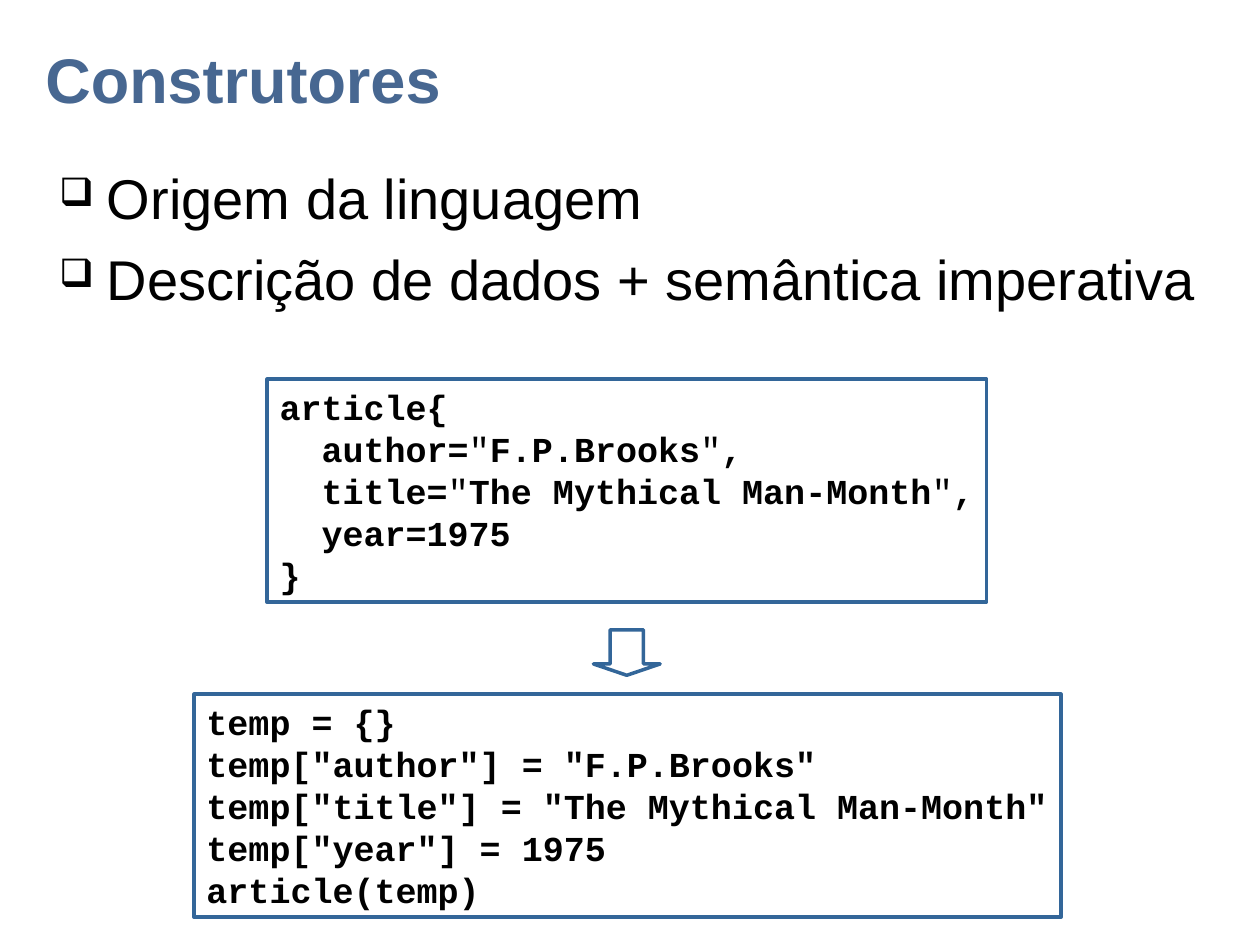
from lxml import etree
from pptx import Presentation
from pptx.dml.color import RGBColor
from pptx.enum.shapes import MSO_SHAPE
from pptx.enum.text import MSO_ANCHOR, PP_ALIGN
from pptx.oxml.ns import qn
from pptx.util import Inches, Pt

COLORS = {"title": "476791", "text": "000000", "outline": "336699"}

# Content: a code line is a list of (text, bold) pieces
TITLE = "Construtores"
TOPICS = ["Origem da linguagem", "Descrição de dados + semântica imperativa"]
QUOTE = ('"', False)
CONSTRUCTOR = [
    [("article{", True)],
    [("  author=", True), QUOTE, ("F.P.Brooks", True), QUOTE, (",", True)],
    [("  title=", True), QUOTE, ("The Mythical Man-Month", True), QUOTE, (",", True)],
    [("  year=1975", True)],
    [("}", True)],
]
EXPANSION = [[(line, True)] for line in (
    "temp = {}",
    'temp["author"] = "F.P.Brooks"',
    'temp["title"] = "The Mythical Man-Month"',
    'temp["year"] = 1975',
    "article(temp)",
)]

# Code boxes: left, top, width, lines
CODE_HEIGHT = 1.77
CODE_BOXES = [(2.12, 3.01, 5.71, CONSTRUCTOR), (1.54, 5.51, 6.88, EXPANSION)]


def add_bullet(paragraph, char="❑", indent=0.38, percent=70):
    props = paragraph._p.get_or_add_pPr()
    props.set("marL", str(Inches(indent)))
    props.set("indent", str(-Inches(indent)))
    color = etree.SubElement(props, qn("a:buClr"))
    etree.SubElement(color, qn("a:srgbClr"), val=COLORS["text"])
    etree.SubElement(props, qn("a:buSzPct"), val=str(percent * 1000))
    etree.SubElement(props, qn("a:buChar"), char=char)


def write_text(frame, lines, size, font="Arial", color="text", wrap=True,
               anchor=MSO_ANCHOR.TOP, gap=0, bullets=False):
    frame.word_wrap = wrap
    frame.vertical_anchor = anchor
    for index, line in enumerate(lines):
        paragraph = frame.paragraphs[0] if index == 0 else frame.add_paragraph()
        paragraph.alignment = PP_ALIGN.LEFT
        paragraph.space_before = Pt(gap if index else 0)
        if bullets:
            add_bullet(paragraph)
        for text, bold in line:
            run = paragraph.add_run()
            run.text = text
            run.font.name = font
            run.font.size = Pt(size)
            run.font.bold = bold
            run.font.color.rgb = RGBColor.from_string(COLORS[color])


def add_outlined(slide, kind, left, top, width, height):
    shape = slide.shapes.add_shape(
        kind, Inches(left), Inches(top), Inches(width), Inches(height))
    shape.shadow.inherit = False
    shape.fill.background()
    shape.line.color.rgb = RGBColor.from_string(COLORS["outline"])
    shape.line.width = Pt(2)
    return shape


def main():
    deck = Presentation()
    deck.slide_width, deck.slide_height = Inches(10), Inches(7.5)
    slide = deck.slides.add_slide(deck.slide_layouts[5])

    # Title
    title = slide.shapes.title
    title.left, title.top = Inches(0.26), Inches(0.19)
    title.width, title.height = Inches(9.43), Inches(0.86)
    write_text(title.text_frame, [[(TITLE, True)]], size=36, color="title",
               anchor=MSO_ANCHOR.MIDDLE)

    # Topics
    topics = slide.shapes.add_textbox(
        Inches(0.37), Inches(1.25), Inches(9.31), Inches(4.85))
    write_text(topics.text_frame, [[(topic, False)] for topic in TOPICS],
               size=32, gap=8, bullets=True)

    # Code before and after expansion
    for left, top, width, lines in CODE_BOXES:
        box = add_outlined(slide, MSO_SHAPE.RECTANGLE, left, top, width, CODE_HEIGHT)
        write_text(box.text_frame, lines, size=20, font="Courier New", wrap=False)

    # Arrow between the code boxes
    arrow = add_outlined(slide, MSO_SHAPE.DOWN_ARROW, 4.71, 5, 0.53, 0.36)
    arrow.adjustments[0], arrow.adjustments[1] = 0.5, 0.25

    deck.save("out.pptx")


if __name__ == "__main__":
    main()
